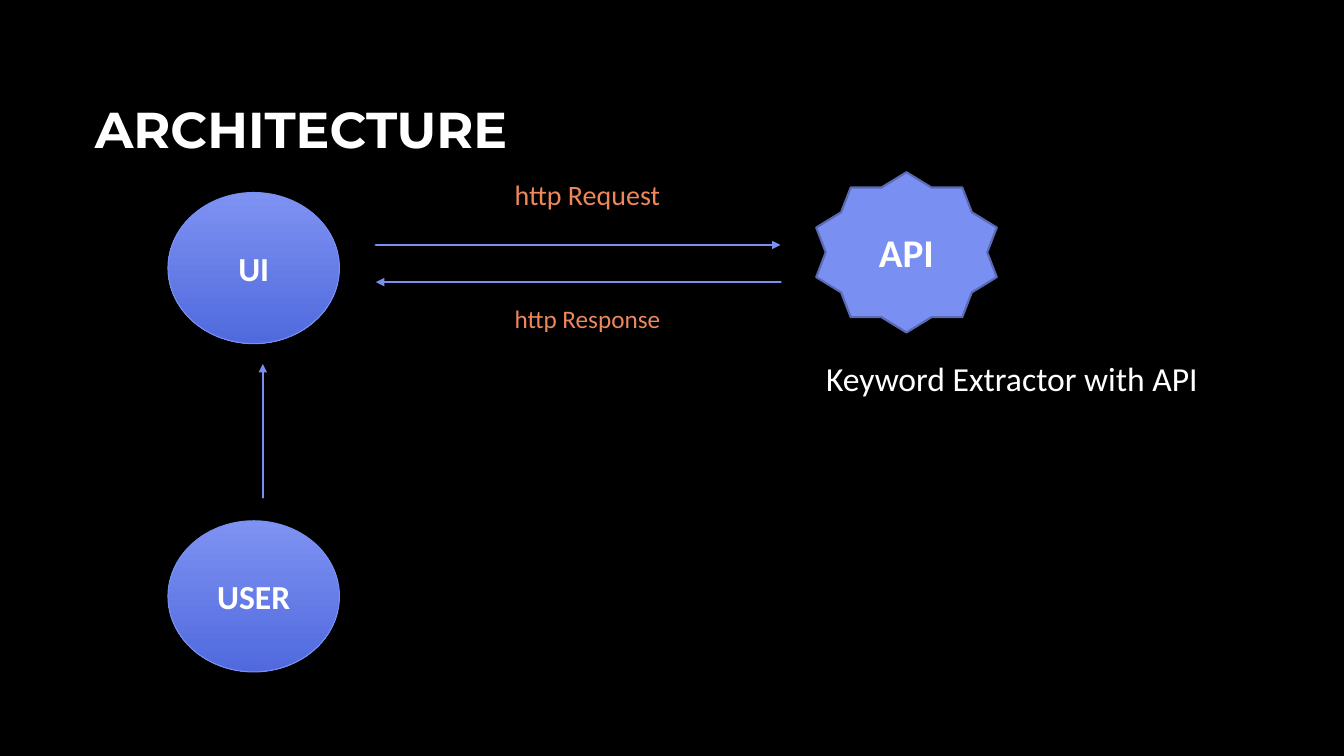
from dataclasses import dataclass

from pptx import Presentation
from pptx.dml.color import RGBColor as RGB
from pptx.enum.shapes import MSO_CONNECTOR as CONN, MSO_SHAPE as SHAPE
from pptx.enum.text import MSO_ANCHOR as ANCHOR, MSO_AUTO_SIZE as AUTO, PP_ALIGN as ALIGN
from pptx.oxml.ns import qn
from pptx.util import Pt


@dataclass(frozen=True)
class Theme:
    background: RGB = RGB.from_string("000000")
    text: RGB = RGB.from_string("FFFFFF")
    accent: RGB = RGB.from_string("798FF2")
    outline: RGB = RGB.from_string("5A6AB3")
    node_top: RGB = RGB.from_string("7E92F2")
    node_bottom: RGB = RGB.from_string("506ADE")
    message: RGB = RGB.from_string("EE875A")
    title_font: str = "Montserrat"
    body_font: str = "Calibri"
    title_size: int = 36
    api_size: int = 28
    node_size: int = 24
    request_size: int = 20
    response_size: int = 18


THEME = Theme()


def write(tf, text, size, color, font=THEME.body_font, bold=False, align=ALIGN.LEFT):
    p = tf.paragraphs[0]
    p.alignment = align
    r = p.add_run()
    r.text = text
    r.font.name = font
    r.font.size = Pt(size)
    r.font.bold = bold
    r.font.color.rgb = color


def add_node(slide, kind, box, text, size):
    sp = slide.shapes.add_shape(kind, *map(Pt, box))
    sp.shadow.inherit = False
    tf = sp.text_frame
    tf.vertical_anchor = ANCHOR.MIDDLE
    write(tf, text, size, THEME.text, bold=True, align=ALIGN.CENTER)
    return sp


def add_circle(slide, box, text):
    sp = add_node(slide, SHAPE.OVAL, box, text, THEME.node_size)
    sp.fill.gradient()
    sp.fill.gradient_angle = 270
    for stop, color in zip(sp.fill.gradient_stops, (THEME.node_top, THEME.node_bottom)):
        stop.color.rgb = color
    sp.line.color.rgb = THEME.accent
    sp.line.width = Pt(0.75)


def add_arrow(slide, start, end, width):
    arrow = slide.shapes.add_connector(CONN.STRAIGHT, *map(Pt, start + end))
    arrow.line.color.rgb = THEME.accent
    arrow.line.width = Pt(width)
    ln = arrow.line._get_or_add_ln()
    ln.set("cap", "rnd")
    tail = ln.makeelement(qn("a:tailEnd"), {"type": "triangle"})
    ln.append(tail)
    sp_pr = ln.getparent()
    sp_pr.append(sp_pr.makeelement(qn("a:effectLst"), {}))


def add_label(slide, box, text, size, color):
    tf = slide.shapes.add_textbox(*map(Pt, box)).text_frame
    tf.word_wrap = True
    tf.auto_size = AUTO.SHAPE_TO_FIT_TEXT
    write(tf, text, size, color)


def add_title(slide, box):
    title = slide.shapes.title
    title.left, title.top, title.width, title.height = map(Pt, box)
    tf = title.text_frame
    tf.word_wrap = True
    tf.vertical_anchor = ANCHOR.MIDDLE
    write(tf, "ARCHITECTURE", THEME.title_size, THEME.text, THEME.title_font, bold=True)


def add_client(slide, box):
    left, top, width, height = box
    node_height = 108
    user_top = top + height - node_height
    add_circle(slide, (left, user_top, width, node_height), "USER")
    add_circle(slide, (left, top, width, node_height), "UI")
    x = left + width / 2 + 6.5
    add_arrow(slide, (x, user_top - 16.5), (x, top + node_height + 14.5), 1.5)


def add_exchange(slide, box):
    left, top, width, height = box
    right = left + width
    request_y, response_y = top + 52, top + 78.5
    add_arrow(slide, (left, request_y), (right, request_y), 2)
    add_arrow(slide, (right, response_y), (left, response_y), 2)
    label_left = left + 92
    add_label(slide, (label_left, top, 161.5, 31.5), "http Request",
              THEME.request_size, THEME.message)
    add_label(slide, (label_left, top + height - 29, 177, 29), "http Response",
              THEME.response_size, THEME.message)


def add_service(slide, box):
    left, top, width, height = box
    star = add_node(slide, SHAPE.STAR_10_POINT, (left, top, 129, 114.5),
                    "API", THEME.api_size)
    star.fill.solid()
    star.fill.fore_color.rgb = THEME.accent
    star.line.color.rgb = THEME.outline
    star.line.width = Pt(1.5)
    add_label(slide, (left, top + height - 36, width, 36),
              "Keyword Extractor with API", THEME.node_size, THEME.text)


def main():
    prs = Presentation()
    prs.slide_width, prs.slide_height = Pt(960), Pt(540)
    slide = prs.slides.add_slide(prs.slide_layouts[5])
    slide.background.fill.solid()
    slide.background.fill.fore_color.rgb = THEME.background
    add_title(slide, (60.5, 34.5, 485.5, 114.5))
    add_client(slide, (120, 137.5, 122.5, 342.5))
    add_exchange(slide, (268.5, 123, 289, 119))
    add_service(slide, (583, 123, 289, 165))
    prs.save("out.pptx")


if __name__ == "__main__":
    main()
